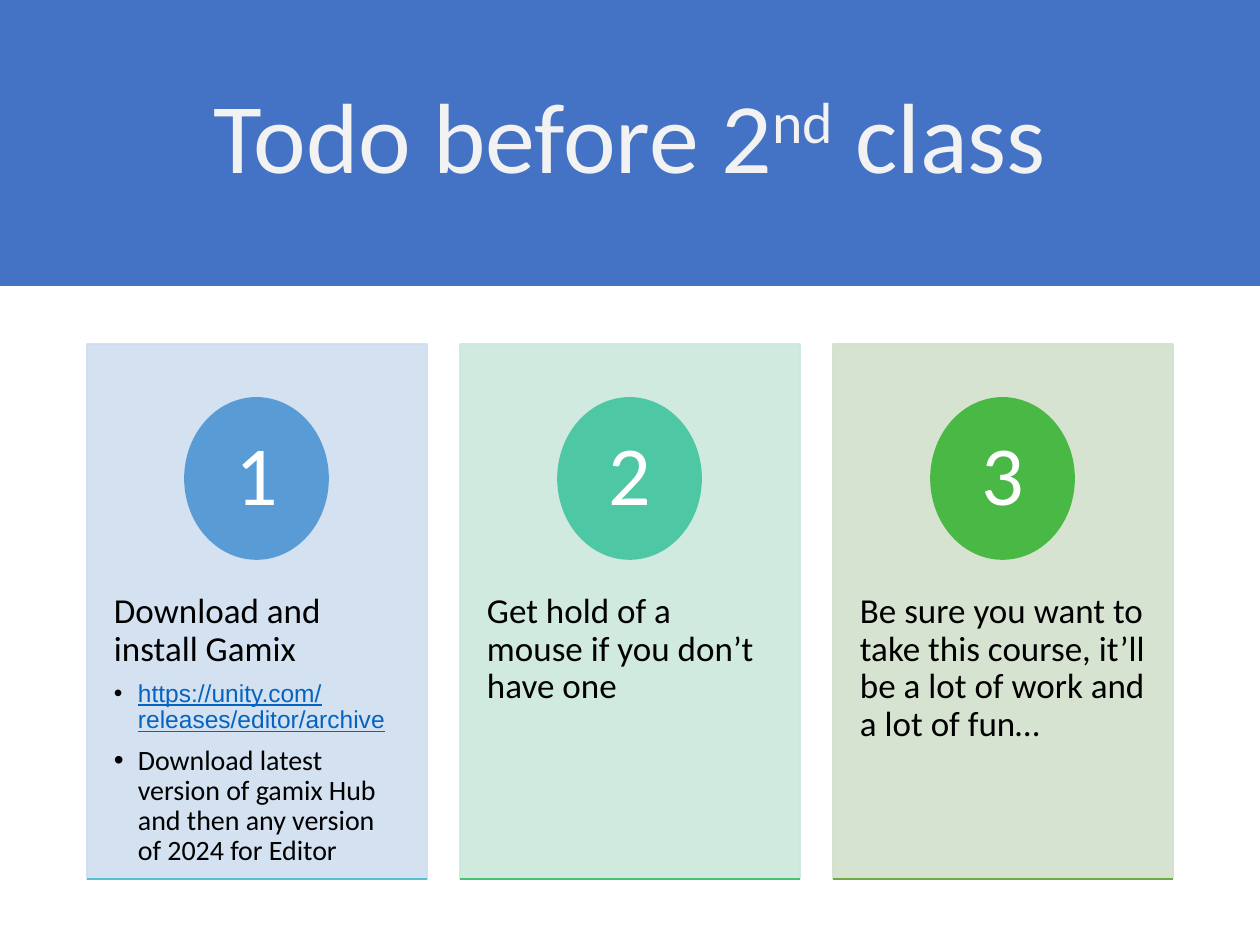
from lxml.etree import SubElement
from pptx import Presentation
from pptx.dml.color import RGBColor
from pptx.enum.shapes import MSO_CONNECTOR, MSO_SHAPE
from pptx.enum.text import MSO_ANCHOR, PP_ALIGN
from pptx.oxml.ns import qn
from pptx.util import Pt

SCALE = 914400 / 126
COLORS = {
    "banner": "4472C4", "title": "F2F2F2", "text": "000000",
    "link": "0563C1", "number": "FFFFFF",
}
CARDS = [
    {"panel": "CFDEEF", "disc": "599BD5", "rule": "53C1CE",
     "text": "Download and install Gamix",
     "items": [
         ("https://unity.com/releases/editor/archive", 14, "Arial", "link"),
         ("Download latest version of gamix Hub and then any version "
          "of 2024 for Editor", 16, "Calibri", "text"),
     ]},
    {"panel": "CCE8DD", "disc": "4EC7A5", "rule": "49C073",
     "text": "Get hold of a mouse if you don’t have one", "items": []},
    {"panel": "D3E1CC", "disc": "49B845", "rule": "6FAB46",
     "text": "Be sure you want to take this course, it’ll be a lot of work "
             "and a lot of fun…", "items": []},
]
LEFT, TOP, WIDTH, HEIGHT, PITCH = 87, 344, 340, 535, 373


def px(*sizes):
    return [round(size * SCALE) for size in sizes]


def rgb(color):
    return RGBColor.from_string(color)


def fade(fill):
    """Make a solid fill or line 90% opaque."""
    for color in fill.iter(qn("a:srgbClr")):
        SubElement(color, qn("a:alpha"), val="90000")


def add_shape(slide, kind, box, color, line=False):
    shape = slide.shapes.add_shape(kind, *px(*box))
    shape.shadow.inherit = False
    shape.fill.solid()
    shape.fill.fore_color.rgb = rgb(color)
    if line:
        shape.line.color.rgb = rgb(color)
        shape.line.width = Pt(1)
    else:
        shape.line.fill.background()
    return shape


def set_frame(frame, side, edge, anchor):
    frame.word_wrap = True
    frame.vertical_anchor = anchor
    frame.margin_left = frame.margin_right = px(side)[0]
    frame.margin_top = frame.margin_bottom = px(edge)[0]


def add_text(slide, box, side, edge, anchor):
    frame = slide.shapes.add_textbox(*px(*box)).text_frame
    set_frame(frame, side, edge, anchor)
    return frame


def add_run(para, text, size, color, font="Calibri"):
    para.line_spacing = 0.9
    run = para.add_run()
    run.text = text
    run.font.size = Pt(size)
    run.font.name = font
    run.font.color.rgb = rgb(color)
    return run


def add_bullet(para):
    para.space_before = Pt(7)
    props = para._p.get_or_add_pPr()
    indent = px(24)[0]
    props.set("marL", str(indent))
    props.set("indent", str(-indent))
    color = SubElement(props, qn("a:buClr"))
    SubElement(color, qn("a:srgbClr"), val=COLORS["text"])
    SubElement(props, qn("a:buFont"), typeface="Arial")
    SubElement(props, qn("a:buChar"), char="•")


def add_rule(slide, left, top, width, color):
    rule = slide.shapes.add_connector(
        MSO_CONNECTOR.STRAIGHT, *px(left, top, left + width, top))
    rule.line.color.rgb = rgb(color)
    rule.line.width = Pt(1)
    SubElement(rule._element.spPr, qn("a:effectLst"))


def add_title(slide):
    add_shape(slide, MSO_SHAPE.RECTANGLE, (0, -1, 1260, 287),
              COLORS["banner"])
    frame = add_text(slide, (87, 50, 1086, 183), 13, 6, MSO_ANCHOR.MIDDLE)
    para = frame.paragraphs[0]
    para.alignment = PP_ALIGN.CENTER
    add_run(para, "Todo before 2", 57, COLORS["title"])
    raised = add_run(para, "nd", 57, COLORS["title"])
    raised._r.get_or_add_rPr().set("baseline", "30000")
    add_run(para, " class", 57, COLORS["title"])


def add_card(slide, index, card):
    left = LEFT + index * PITCH
    panel = add_shape(slide, MSO_SHAPE.RECTANGLE, (left, TOP, WIDTH, HEIGHT),
                      card["panel"], line=True)
    fade(panel._element.spPr)

    frame = add_text(slide, (left, 548, WIDTH, 321), 27, 45, MSO_ANCHOR.TOP)
    add_run(frame.paragraphs[0], card["text"], 20, COLORS["text"])
    for text, size, font, color in card["items"]:
        para = frame.add_paragraph()
        add_bullet(para)
        run = add_run(para, text, size, COLORS[color], font)
        if color == "link":
            run.font.underline = True

    disc = add_shape(slide, MSO_SHAPE.OVAL, (left + 98, 398, 143, 161),
                     card["disc"], line=True)
    set_frame(disc.text_frame, 11, 1, MSO_ANCHOR.MIDDLE)
    para = disc.text_frame.paragraphs[0]
    para.alignment = PP_ALIGN.CENTER
    add_run(para, str(index + 1), 48, COLORS["number"])
    add_rule(slide, left, TOP + HEIGHT, WIDTH, card["rule"])


def main():
    deck = Presentation()
    deck.slide_width, deck.slide_height = px(1260, 945)
    slide = deck.slides.add_slide(deck.slide_layouts[6])
    add_title(slide)
    for index, card in enumerate(CARDS):
        add_card(slide, index, card)
    deck.save("out.pptx")


if __name__ == "__main__":
    main()
